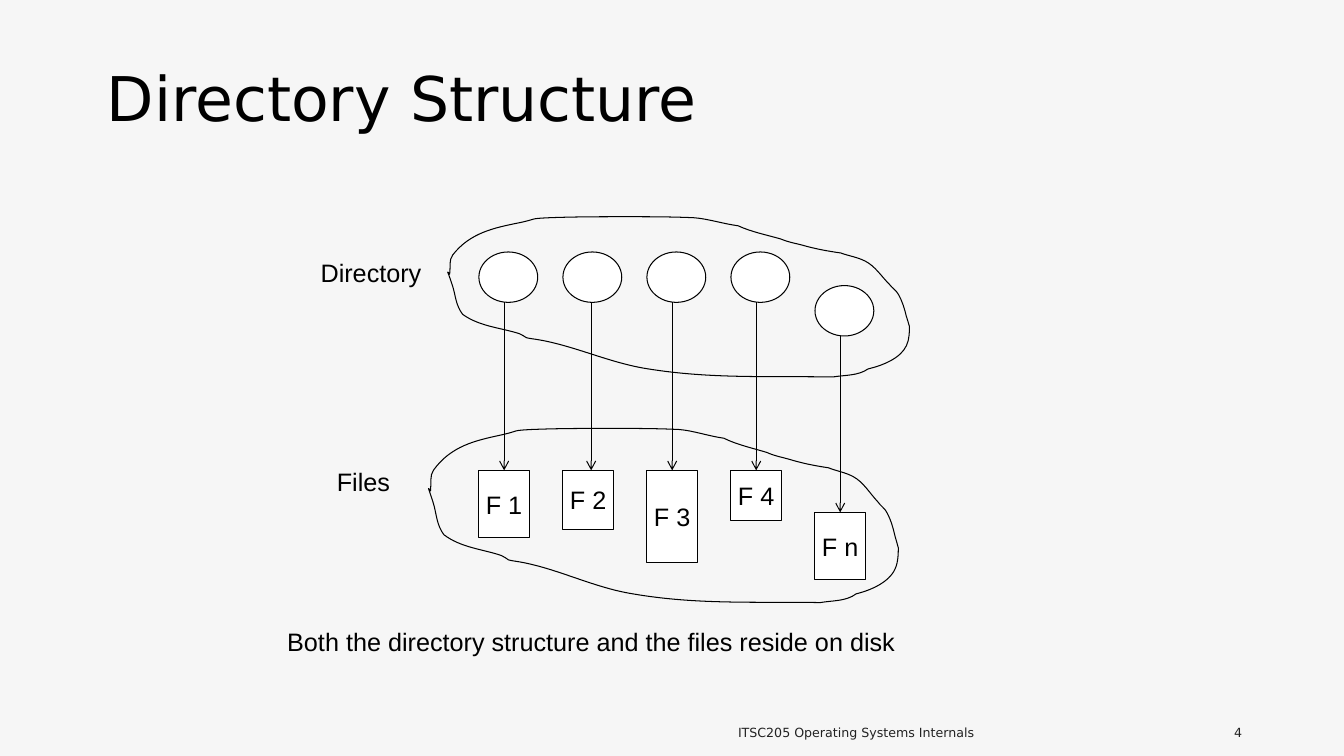
"""Build the Directory Structure slide: directory entries pointing to files on disk."""
from dataclasses import dataclass

from lxml import etree
from pptx import Presentation
from pptx import util as u
from pptx.dml.color import RGBColor
from pptx.enum import shapes, text
from pptx.oxml.ns import qn

BLACK = RGBColor(0x00, 0x00, 0x00)
WHITE = RGBColor(0xFF, 0xFF, 0xFF)
FOOTER_GRAY = RGBColor(0x22, 0x22, 0x22)
BACKGROUND = RGBColor(0xF6, 0xF6, 0xF6)
BODY_FONT, THEME_FONT = "Arial", "DejaVu Sans"
LEFT, CENTER, RIGHT = text.PP_ALIGN.LEFT, text.PP_ALIGN.CENTER, text.PP_ALIGN.RIGHT
TOP, MIDDLE, BOTTOM = (text.MSO_ANCHOR.TOP, text.MSO_ANCHOR.MIDDLE,
                       text.MSO_ANCHOR.BOTTOM)

GRID = 1 / 12
FIRST_LEFT, COLUMN_PITCH = 57 * GRID, 10 * GRID
ENTRY_WIDTH, ENTRY_HEIGHT, FILE_WIDTH = 7 * GRID, 6 * GRID, 6 * GRID
CLOUD_LEFT, CLOUD_TOP, CLOUD_WIDTH, CLOUD_HEIGHT = 4.44, 2.15, 4.58, 1.61
CLOUD_START = (4.46, 2.72)
CLOUD_CURVES = [
    ((4.47, 2.65), (4.45, 2.58), (4.49, 2.53)),
    ((4.66, 2.31), (4.9, 2.26), (5.15, 2.21)),
    ((5.34, 2.17), (5.24, 2.17), (5.45, 2.16)),
    ((5.71, 2.15), (5.96, 2.15), (6.21, 2.15)),
    ((6.43, 2.15), (6.65, 2.15), (6.88, 2.16)),
    ((7.02, 2.17), (7.17, 2.22), (7.32, 2.24)),
    ((7.45, 2.3), (7.6, 2.33), (7.74, 2.37)),
    ((7.81, 2.4), (7.87, 2.41), (7.95, 2.43)),
    ((8.09, 2.47), (8.2, 2.49), (8.34, 2.51)),
    ((8.42, 2.54), (8.5, 2.55), (8.58, 2.59)),
    ((8.68, 2.64), (8.74, 2.74), (8.82, 2.82)),
    ((8.85, 2.86), (8.89, 2.88), (8.91, 2.92)),
    ((8.95, 2.99), (8.97, 3.06), (8.99, 3.14)),
    ((9, 3.17), (9.02, 3.24), (9.02, 3.24)),
    ((9.02, 3.28), (9.02, 3.37), (8.99, 3.43)),
    ((8.93, 3.56), (8.74, 3.63), (8.61, 3.66)),
    ((8.51, 3.73), (8.38, 3.72), (8.26, 3.74)),
    ((7.62, 3.73), (7.05, 3.76), (6.43, 3.66)),
    ((6.03, 3.6), (5.66, 3.41), (5.27, 3.36)),
    ((5.25, 3.36), (5.23, 3.35), (5.22, 3.35)),
    ((5.2, 3.34), (5.18, 3.32), (5.15, 3.31)),
    ((4.96, 3.25), (4.76, 3.24), (4.59, 3.12)),
    ((4.52, 3.03), (4.52, 2.94), (4.49, 2.84)),
    ((4.49, 2.84), (4.45, 2.72), (4.44, 2.7)),
    ((4.44, 2.69), (4.45, 2.71), (4.46, 2.72)),
]


@dataclass(frozen=True)
class Box:
    left: float
    top: float
    width: float
    height: float

    def lengths(self) -> list[u.Length]:
        return [u.Inches(value) for value in (self.left, self.top, self.width, self.height)]


@dataclass(frozen=True)
class File:
    name: str
    height: float
    entry_top: float = 30 * GRID
    top: float = 56 * GRID
    arrow_shift: float = 0


@dataclass(frozen=True)
class Label:
    words: str
    box: Box
    align: text.PP_ALIGN = LEFT
    anchor: text.MSO_ANCHOR = TOP
    wrap: bool = True
    size: int = 18
    font: str = BODY_FONT
    color: RGBColor = BLACK


FILES = [
    File("F 1", 8 * GRID),
    File("F 2", 7 * GRID, arrow_shift=0.03),
    File("F 3", 11 * GRID),
    File("F 4", 6 * GRID),
    File("F n", 8 * GRID, entry_top=34 * GRID, top=61 * GRID),
]
CLOUDS = [
    Box(CLOUD_LEFT, CLOUD_TOP, CLOUD_WIDTH, CLOUD_HEIGHT),
    Box(4.25, 4.25, 4.66, 1.75),
]
LABELS = [
    Label("Directory", Box(3.08, 2.5, 1.2, 0.4), CENTER, MIDDLE, False),
    Label("Files", Box(3.24, 4.58, 0.73, 0.4), CENTER, MIDDLE, False),
    Label("Both the directory structure and the files reside on disk",
          Box(2.75, 74 * GRID, 8.31, 0.42)),
    Label("ITSC205 Operating Systems Internals", Box(5.72, 6.99, 5.54, 0.4),
          CENTER, BOTTOM, True, 9, THEME_FONT, FOOTER_GRAY),
    Label("4", Box(11.46, 6.99, 0.96, 0.4), RIGHT, BOTTOM, True, 9, THEME_FONT, FOOTER_GRAY),
]


def write(shape, label: Label) -> None:
    frame = shape.text_frame
    frame.text = label.words
    frame.word_wrap = label.wrap
    frame.auto_size = text.MSO_AUTO_SIZE.NONE
    frame.vertical_anchor = label.anchor
    paragraph = frame.paragraphs[0]
    paragraph.alignment = label.align
    paragraph.font.size = u.Pt(label.size)
    paragraph.font.name = label.font
    paragraph.font.color.rgb = label.color


def set_outline(shape) -> None:
    shape.line.color.rgb = BLACK
    shape.line.width = u.Pt(0.75)


def add_node(slide, kind: shapes.MSO_SHAPE, box: Box):
    shape = slide.shapes.add_shape(kind, *box.lengths())
    shape.shadow.inherit = False
    shape.fill.solid()
    shape.fill.fore_color.rgb = WHITE
    set_outline(shape)
    return shape


def add_file(slide, file: File, left: float) -> None:
    add_node(slide, shapes.MSO_SHAPE.OVAL,
             Box(left, file.entry_top, ENTRY_WIDTH, ENTRY_HEIGHT))
    box = Box(left, file.top, FILE_WIDTH, file.height)
    rectangle = add_node(slide, shapes.MSO_SHAPE.RECTANGLE, box)
    write(rectangle, Label(file.name, box, CENTER, MIDDLE, False))

    arrow_x = u.Inches(left + FILE_WIDTH / 2 + file.arrow_shift)
    arrow = slide.shapes.add_connector(
        shapes.MSO_CONNECTOR.STRAIGHT, arrow_x, u.Inches(file.entry_top + ENTRY_HEIGHT),
        arrow_x, u.Inches(file.top))
    if not file.arrow_shift:
        arrow.end_connect(rectangle, 0)
    set_outline(arrow)
    etree.SubElement(arrow.line._get_or_add_ln(), qn("a:tailEnd"), type="arrow")
    etree.SubElement(arrow._element.spPr, qn("a:effectLst"))


def round_segments(freeform) -> None:
    segments = list(freeform._element.iter(qn("a:lnTo")))
    for first in range(0, len(segments), 3):
        curve = etree.Element(qn("a:cubicBezTo"))
        segments[first].addprevious(curve)
        for segment in segments[first:first + 3]:
            curve.append(segment[0])
            segment.getparent().remove(segment)


def add_cloud(slide, box: Box) -> None:
    corners = [CLOUD_START] + [point for curve in CLOUD_CURVES for point in curve]
    points = [(u.Inches(box.left + (x - CLOUD_LEFT) * box.width / CLOUD_WIDTH),
               u.Inches(box.top + (y - CLOUD_TOP) * box.height / CLOUD_HEIGHT))
              for x, y in corners]
    builder = slide.shapes.build_freeform(*points[0])
    builder.add_line_segments(points[1:], close=True)
    cloud = builder.convert_to_shape()
    round_segments(cloud)
    cloud.shadow.inherit = False
    cloud.fill.background()
    set_outline(cloud)


def main() -> None:
    presentation = Presentation()
    presentation.slide_width, presentation.slide_height = u.Inches(13.33), u.Inches(7.5)
    slide = presentation.slides.add_slide(presentation.slide_layouts[5])
    slide.background.fill.solid()
    slide.background.fill.fore_color.rgb = BACKGROUND

    title = slide.shapes.title
    title_box = Box(0.96, 0.28, 11.5, 1.45)
    title.left, title.top, title.width, title.height = title_box.lengths()
    write(title, Label("Directory Structure", title_box, LEFT, MIDDLE, True, 44, THEME_FONT))
    title.text_frame.paragraphs[0].line_spacing = 0.9

    for column, file in enumerate(FILES):
        add_file(slide, file, FIRST_LEFT + column * COLUMN_PITCH)
    for box in CLOUDS:
        add_cloud(slide, box)
    for label in LABELS:
        write(slide.shapes.add_textbox(*label.box.lengths()), label)
    presentation.save("out.pptx")


if __name__ == "__main__":
    main()
